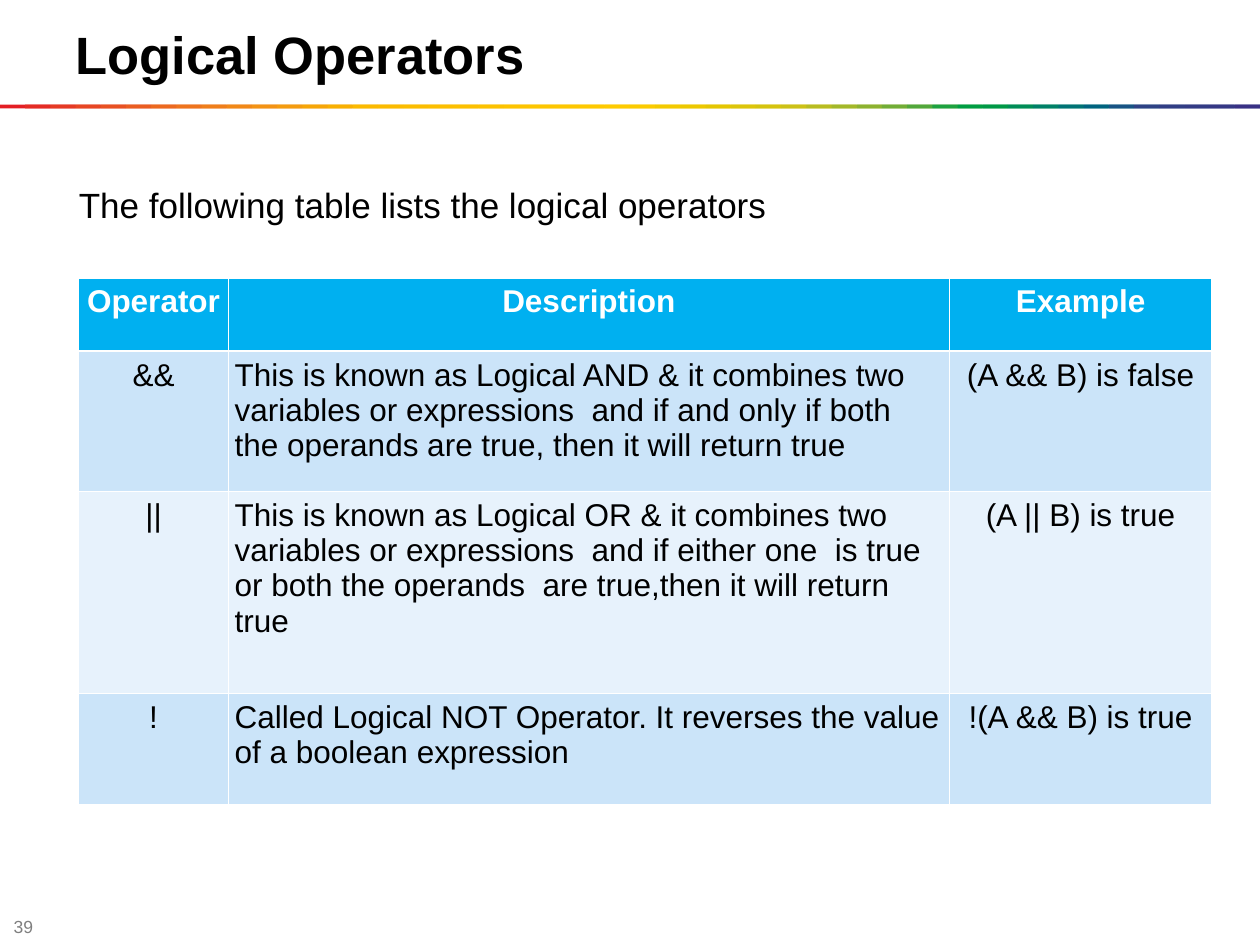
"""Build the Logical Operators slide with its rainbow rule and operator table."""
from lxml.etree import SubElement
from pptx import Presentation
from pptx.dml.color import RGBColor
from pptx.enum.shapes import MSO_SHAPE as Shape
from pptx.enum.text import MSO_ANCHOR as Anchor, PP_ALIGN as Align
from pptx.oxml import parse_xml
from pptx.oxml.ns import nsdecls, qn
from pptx.util import Pt


def color(value):
    return RGBColor.from_string(value)


def write(frame, text, size, hex_color="000000", bold=False, align=Align.LEFT):
    frame.word_wrap = True
    para = frame.paragraphs[0]
    para.text = text
    para.alignment = align
    para.font.name = "Arial"
    para.font.size = Pt(size)
    para.font.bold = bold
    para.font.color.rgb = color(hex_color)


deck = Presentation()
deck.slide_width, deck.slide_height = Pt(720), Pt(540)
page = deck.slides.add_slide(deck.slide_layouts[5])

number = page.shapes.add_textbox(Pt(0.7), Pt(523.5), Pt(28), Pt(11.5))
number.text_frame.vertical_anchor = Anchor.MIDDLE
write(number.text_frame, "39", 10, "7F7F7F")

rainbow = """
E31E24 E42C24 E53A24 E74623 E85122 EA5D21 EC691F EE741D EF7E1A F18817
F39314 F49C0F F6A607 F8B002 FBBA00 FBBB00 FBBD00 FCBF00 FCC000 FCC200
FDC400 FDC600 FDC700 FEC900 FECB00 FBCB00 F3CA00 ECC800 E4C602 DCC50A
D5C30E CCC117 B8BC21 A3B829 8CB230 71AD36 51A73B 1DA240 009D43 009846
008C57 008068 007275 00637F 185384 2E4285 313E85 333B85 353885 393185
""".split()
step = 720 / len(rainbow)
rule = page.shapes.add_group_shape()
for index, shade in enumerate(rainbow):
    left = index * step
    width = min(2 * step, 720 - left)
    band = rule.shapes.add_shape(Shape.RECTANGLE, Pt(left), Pt(59.8), Pt(width), Pt(2.2))
    band.shadow.inherit = False
    band.fill.solid()
    band.fill.fore_color.rgb = color(shade)
    band.line.fill.background()

title = page.shapes.title
title.left, title.top, title.width, title.height = Pt(36), Pt(8.6), Pt(648), Pt(44)
title.text_frame.vertical_anchor = Anchor.MIDDLE
write(title.text_frame, "Logical Operators", 30, bold=True)

rows = [
    ("Operator", "Description", "Example"),
    ("&&", "This is known as Logical AND & it combines two variables or expressions  "
     "and if and only if both the operands are true, then it will return true",
     "(A && B) is false"),
    ("||", "This is known as Logical OR & it combines two variables or expressions  "
     "and if either one  is true or both the operands  are true,then it will return true",
     "(A || B) is true"),
    ("!", "Called Logical NOT Operator. It reverses the value of a boolean expression",
     "!(A && B) is true"),
]
column_widths = [85.5, 412, 150]
row_heights = [42, 80, 115.5, 63.5]
row_fills = ["00B0F0", "CBE4F9", "E7F2FC", "CBE4F9"]
table = page.shapes.add_table(
    len(rows), len(column_widths), Pt(45), Pt(158.8),
    Pt(sum(column_widths)), Pt(sum(row_heights))).table
for column, width in zip(table.columns, column_widths):
    column.width = Pt(width)
for row, height in zip(table.rows, row_heights):
    row.height = Pt(height)

for row_index, texts in enumerate(rows):
    header = row_index == 0
    for column_index, text in enumerate(texts):
        cell = table.cell(row_index, column_index)
        cell.margin_left = cell.margin_right = Pt(3.6)
        cell.margin_top = cell.margin_bottom = Pt(3.6)
        cell.fill.solid()
        cell.fill.fore_color.rgb = color(row_fills[row_index])
        align = Align.LEFT if column_index == 1 and not header else Align.CENTER
        write(cell.text_frame, text, 18, "FFFFFF" if header else "000000", header, align)
        properties = cell._tc.get_or_add_tcPr()
        for position, side in enumerate(["lnL", "lnR", "lnT", "lnB"]):
            heavy = (row_index, side) in [(0, "lnB"), (1, "lnT")]
            border = parse_xml(f'<a:{side} {nsdecls("a")} w="{Pt(1.47 if heavy else 0.45)}"/>')
            fill = SubElement(border, qn("a:solidFill"))
            SubElement(fill, qn("a:srgbClr"), val="FFFFFF")
            properties.insert(position, border)

intro = page.shapes.add_textbox(Pt(38), Pt(101.5), Pt(648), Pt(31.5))
write(intro.text_frame, "The following table lists the logical operators", 20)

deck.save("out.pptx")
